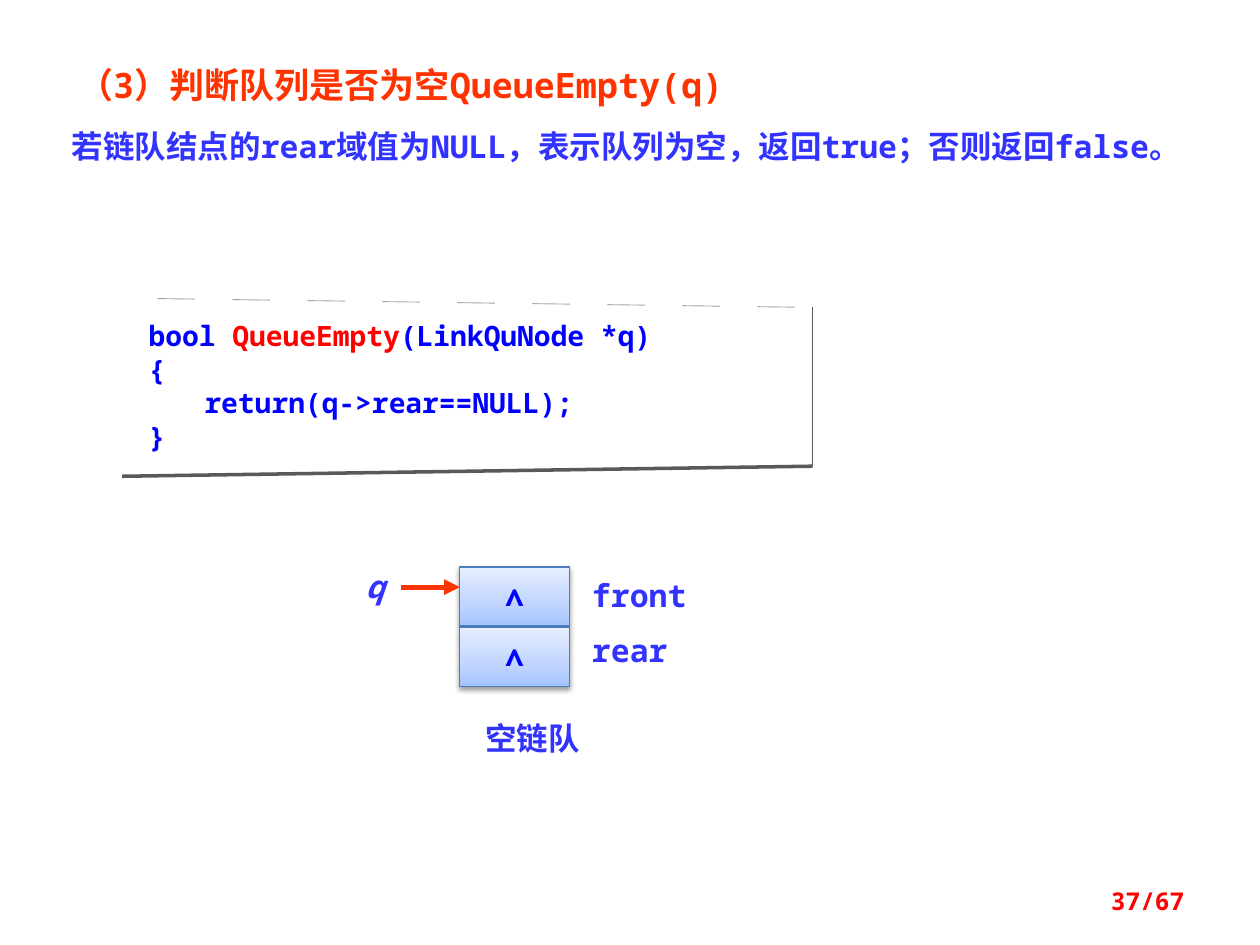
from lxml import etree
from pptx import Presentation
from pptx import util as u
from pptx.dml.color import RGBColor
from pptx.enum import shapes, text
from pptx.oxml import parse_xml
from pptx.oxml.ns import nsdecls, qn

MONO = "Noto Sans Mono"
CJK = "Noto Sans CJK SC"
RED = "FF0000"
ORANGE = "FF3300"
VIOLET = "3333FF"
BLUE = "0000FF"
ALIGN = text.PP_ALIGN


def color(value):
    return RGBColor.from_string(value)


def box(*lengths):
    return [u.Inches(length) for length in lengths]


def style_run(run, size, fill, bold=True, italic=False, name=MONO):
    run.font.size = u.Pt(size)
    run.font.bold = bold
    run.font.italic = italic
    run.font.color.rgb = color(fill)
    run.font.name = name
    etree.SubElement(run.font._element, qn("a:ea"), typeface=CJK)


def fill_placeholder(placeholder, place, words, size, fill, spacing, indent):
    placeholder.left, placeholder.top, placeholder.width, placeholder.height = box(*place)
    frame = placeholder.text_frame
    frame.text = words
    frame.word_wrap = True
    frame.auto_size = text.MSO_AUTO_SIZE.NONE
    frame.vertical_anchor = text.MSO_ANCHOR.TOP
    paragraph = frame.paragraphs[0]
    properties = paragraph._p.get_or_add_pPr()
    properties.set("marL", "0")
    properties.set("indent", str(u.Inches(indent)))
    etree.SubElement(properties, qn("a:buNone"))
    paragraph.alignment = ALIGN.JUSTIFY
    paragraph.line_spacing = spacing
    paragraph.space_before = u.Pt(0)
    style_run(paragraph.runs[0], size, fill)


def add_label(parent, place, words, size=18, fill=VIOLET, align=ALIGN.LEFT, **font):
    label = parent.add_textbox(*box(*place))
    frame = label.text_frame
    frame.text = words
    frame.word_wrap = True
    for index, paragraph in enumerate(frame.paragraphs):
        paragraph.alignment = align
        paragraph.space_before = u.Pt(10 if index else 0)
        style_run(paragraph.runs[0], size, fill, **font)
    return label


def add_line(parent, start, end, fill, width):
    line = parent.add_connector(shapes.MSO_CONNECTOR.STRAIGHT, *box(*start, *end))
    line.line.color.rgb = color(fill)
    line.line.width = u.Pt(width)
    etree.SubElement(line._element.spPr, qn("a:effectLst"))
    return line


def add_arrow(parent, start, end, fill, width):
    arrow = add_line(parent, start, end, fill, width)
    etree.SubElement(arrow.line._get_or_add_ln(), qn("a:tailEnd"), type="triangle")


def add_dashed_line(parent, start, end, fill, width):
    line = add_line(parent, start, end, fill, width)
    line.line._get_or_add_ln().append(parse_xml(
        f'<a:custDash {nsdecls("a")}><a:ds d="4200000" sp="4200000"/></a:custDash>'))


def add_code_box(parent, place, lines):
    panel = parent.add_shape(shapes.MSO_SHAPE.RECTANGLE, *box(*place))
    panel.shadow.inherit = False
    panel.fill.solid()
    panel.fill.fore_color.rgb = color("FFFFFF")
    panel.line.fill.background()
    frame = panel.text_frame
    frame.word_wrap = True
    frame.vertical_anchor = text.MSO_ANCHOR.TOP
    frame.margin_left = frame.margin_right = u.Inches(0.2)
    frame.margin_top = frame.margin_bottom = u.Inches(0.12)
    for index, line in enumerate(lines):
        paragraph = frame.add_paragraph() if index else frame.paragraphs[0]
        paragraph.alignment = ALIGN.LEFT
        for words, fill in line:
            run = paragraph.add_run()
            run.text = words
            style_run(run, 16, fill)


def add_cell(parent, place, words):
    cell = parent.add_shape(shapes.MSO_SHAPE.RECTANGLE, *box(*place))
    stops = "".join(
        f'<a:gs pos="{position * 1000}"><a:srgbClr val="{value}"/></a:gs>'
        for position, value in ((0, "A4C4FF"), (35, "BFD4FF"), (100, "E6EEFF")))
    cell._element.spPr.insert(2, parse_xml(
        f'<a:gradFill {nsdecls("a")} rotWithShape="1"><a:gsLst>{stops}</a:gsLst>'
        '<a:lin ang="16200000" scaled="0"/></a:gradFill>'))
    cell.line.color.rgb = color("4B7EBC")
    cell.line.width = u.Pt(0.75)
    cell.shadow.inherit = False
    cell._element.spPr.find(qn("a:effectLst")).append(parse_xml(
        f'<a:outerShdw {nsdecls("a")} blurRad="{u.Pt(3.1)}" dist="{u.Pt(1.6)}" '
        'dir="5400000" rotWithShape="0"><a:srgbClr val="000000">'
        '<a:alpha val="38000"/></a:srgbClr></a:outerShdw>'))
    frame = cell.text_frame
    frame.text = words
    frame.word_wrap = False
    frame.vertical_anchor = text.MSO_ANCHOR.MIDDLE
    frame.paragraphs[0].alignment = ALIGN.CENTER
    style_run(frame.paragraphs[0].runs[0], 18, BLUE)


def add_queue_diagram(slide):
    diagram = slide.shapes.add_group_shape().shapes
    add_label(diagram, (3.44, 5.66, 1.57, 0.4), "空链队", align=ALIGN.CENTER, name=CJK)
    for row in range(2):
        add_cell(diagram, (3.65, 4.5 + row * 0.48, 0.87, 0.47), "∧")
    add_arrow(diagram, (3.18, 4.66), (3.65, 4.66), ORANGE, 3)
    add_label(diagram, (2.74, 4.45, 0.47, 0.4), "q", align=ALIGN.CENTER, italic=True)
    add_label(diagram, (4.6, 4.52, 1.5, 0.86), "front\nrear")


def main():
    presentation = Presentation()
    presentation.slide_width, presentation.slide_height = box(10, 7.5)
    slide = presentation.slides.add_slide(presentation.slide_layouts[1])
    title, body = slide.placeholders
    fill_placeholder(title, (0.35, 0.52, 9.18, 0.4),
                     "（3）判断队列是否为空QueueEmpty(q)", 20, ORANGE, 0.8, 0.17)
    fill_placeholder(body, (0.35, 0.93, 9.18, 0.8),
                     "若链队结点的rear域值为NULL，表示队列为空，返回true；否则返回false。",
                     18, VIOLET, 1.1, 0.12)

    add_code_box(slide.shapes, (0.98, 2.41, 5.81, 1.32), [
        [("bool ", BLUE), ("QueueEmpty", RED), ("(LinkQuNode *q)", BLUE)],
        [("{", BLUE)],
        [("  return(q->rear==NULL);".replace("  ", "　　"), BLUE)],
        [("}", BLUE)],
    ])
    top_right, bottom_right = (6.45, 2.44), (6.45, 3.7)
    add_dashed_line(slide.shapes, (1.25, 2.37), top_right, "A6A6A6", 0.5)
    add_line(slide.shapes, top_right, bottom_right, "595959", 0.75)
    add_line(slide.shapes, (0.97, 3.78), bottom_right, "595959", 2)

    add_queue_diagram(slide)
    number = add_label(slide.shapes, (7.17, 6.95, 2.33, 0.4), "37/67", 14, RED, ALIGN.RIGHT)
    number.text_frame.vertical_anchor = text.MSO_ANCHOR.MIDDLE
    presentation.save("out.pptx")


if __name__ == "__main__":
    main()
